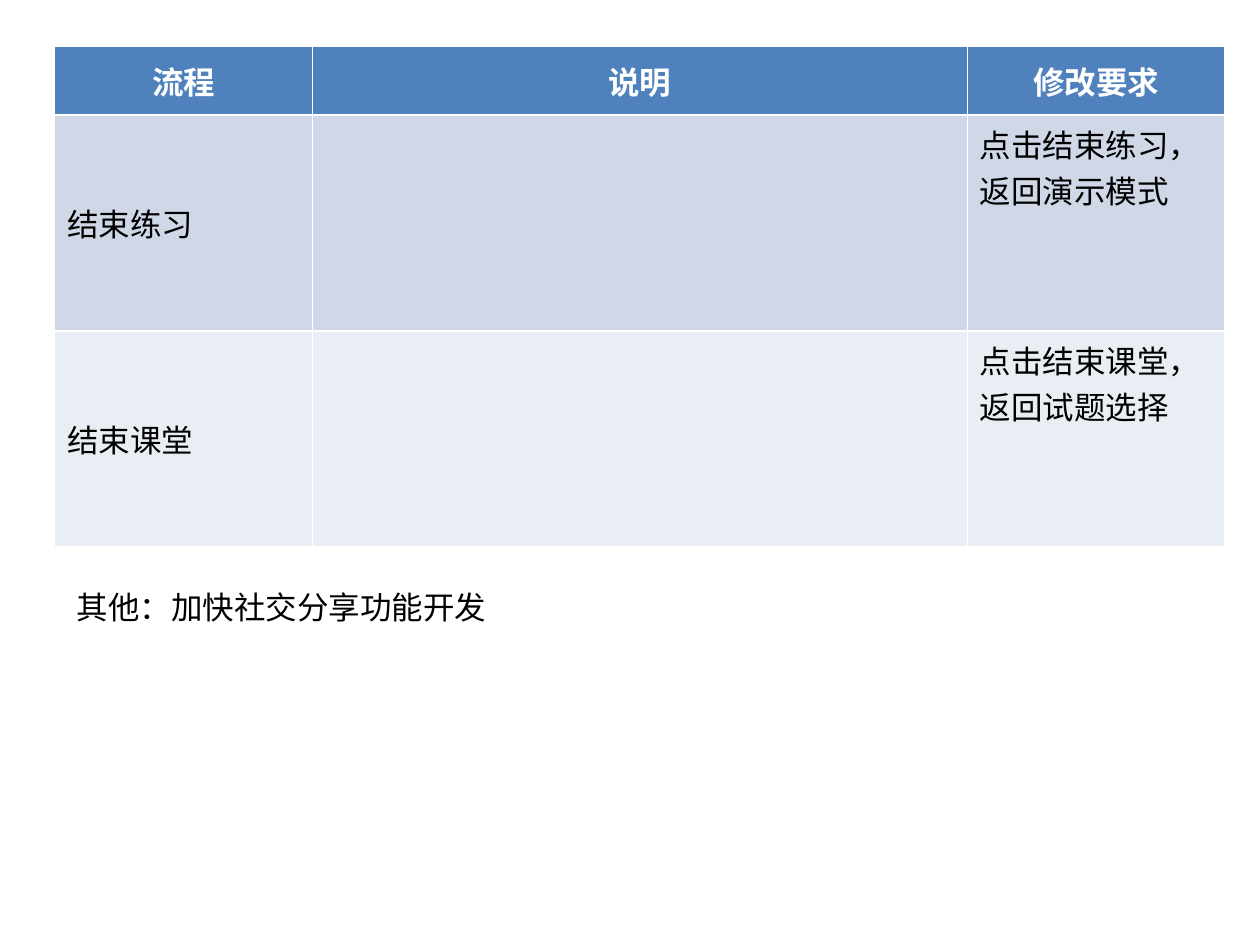
from pptx import Presentation
from pptx.dml.color import RGBColor
from pptx.enum.text import MSO_ANCHOR, MSO_AUTO_SIZE, PP_ALIGN
from pptx.util import Pt

WHITE = RGBColor(0xFF, 0xFF, 0xFF)
BLACK = RGBColor(0, 0, 0)
HEADER_BLUE = RGBColor(0x4F, 0x81, 0xBD)
BAND_DARK = RGBColor(0xD0, 0xD8, 0xE8)
BAND_LIGHT = RGBColor(0xE9, 0xED, 0xF4)

BODY_FORMAT = {"name": "Calibri", "size": Pt(18), "bold": False}
HEADER_FORMAT = {**BODY_FORMAT, "bold": True}

COLUMN_WIDTHS = (147.4, 374.2, 147.4)
ROW_HEIGHTS = (39.6, 123.4, 123.4)
ROW_FILLS = (HEADER_BLUE, BAND_DARK, BAND_LIGHT)
ROWS = (
    ("流程", "说明", "修改要求"),
    ("结束练习", "", "点击结束练习，返回演示模式"),
    ("结束课堂", "", "点击结束课堂，返回试题选择"),
)


def write_text(paragraph, text, formats, color):
    """Put one formatted run into a paragraph."""
    run = paragraph.add_run()
    run.text = text
    for attribute, value in formats.items():
        setattr(run.font, attribute, value)
    run.font.color.rgb = color


def fill_cell(cell, text, fill_color, is_header, is_middle):
    """Colour a table cell and write its text."""
    cell.fill.solid()
    cell.fill.fore_color.rgb = fill_color
    cell.vertical_anchor = MSO_ANCHOR.MIDDLE if is_middle else MSO_ANCHOR.TOP
    paragraph = cell.text_frame.paragraphs[0]
    if is_header:
        paragraph.alignment = PP_ALIGN.CENTER
    if text:
        write_text(paragraph, text, HEADER_FORMAT if is_header else BODY_FORMAT,
                   WHITE if is_header else BLACK)


def add_process_table(slide, left, top):
    """Add the table of process steps with its top left corner at a point."""
    table = slide.shapes.add_table(
        len(ROWS), len(COLUMN_WIDTHS), Pt(left), Pt(top),
        Pt(sum(COLUMN_WIDTHS)), Pt(sum(ROW_HEIGHTS))).table
    for column, width in zip(table.columns, COLUMN_WIDTHS):
        column.width = Pt(width)
    for row_index, texts in enumerate(ROWS):
        table.rows[row_index].height = Pt(ROW_HEIGHTS[row_index])
        is_header = row_index == 0
        for column_index, text in enumerate(texts):
            fill_cell(table.cell(row_index, column_index), text,
                      ROW_FILLS[row_index], is_header,
                      is_header or column_index == 0)


def add_note(slide, left, top, width, height, text):
    """Add the remark below the table in the given box."""
    text_frame = slide.shapes.add_textbox(
        Pt(left), Pt(top), Pt(width), Pt(height)).text_frame
    text_frame.word_wrap = True
    text_frame.auto_size = MSO_AUTO_SIZE.SHAPE_TO_FIT_TEXT
    write_text(text_frame.paragraphs[0], text, BODY_FORMAT, BLACK)


def main():
    """Build and save the slide."""
    presentation = Presentation()
    presentation.slide_width, presentation.slide_height = Pt(720), Pt(540)
    slide = presentation.slides.add_slide(presentation.slide_layouts[6])
    add_process_table(slide, 31.2, 26.2)
    add_note(slide, 36.7, 332.6, 635, 29, "其他：加快社交分享功能开发")
    presentation.save("out.pptx")


main()
